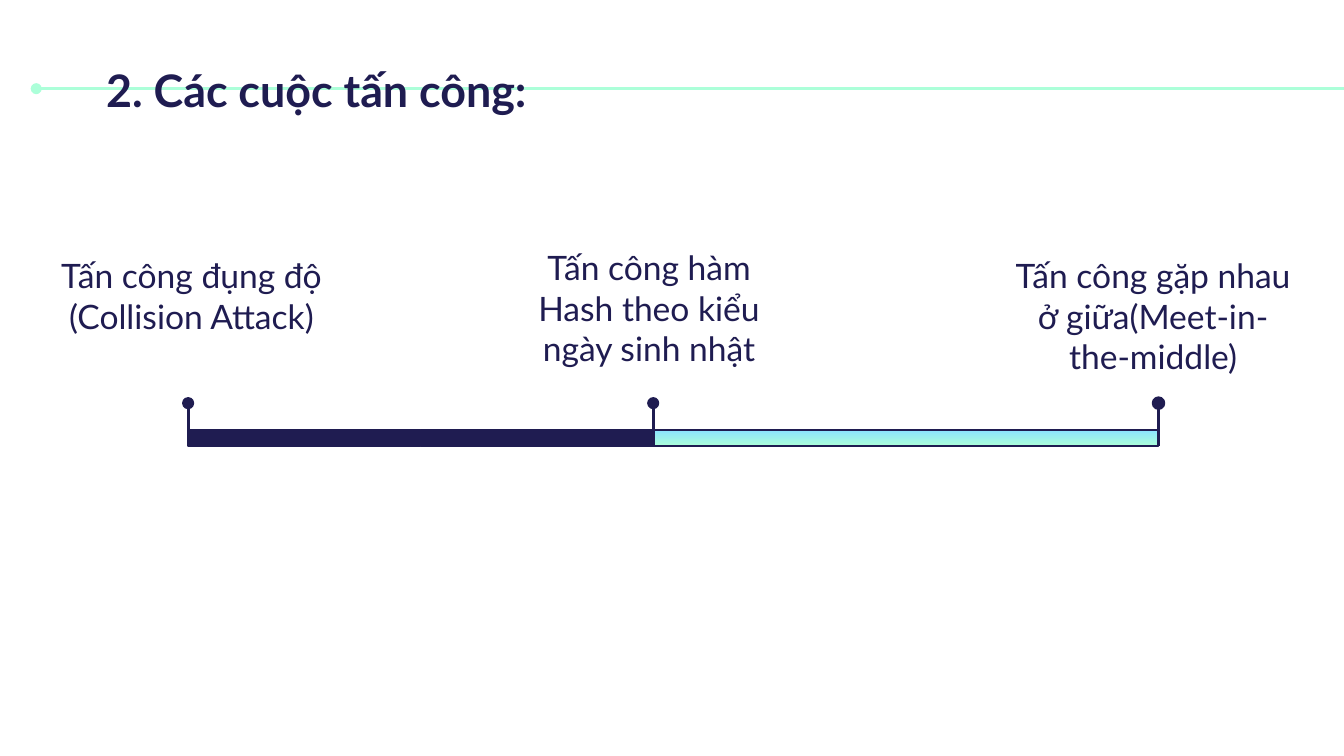
from dataclasses import dataclass

from lxml import etree
from pptx import Presentation
from pptx import util as u
from pptx.dml.color import RGBColor
from pptx.enum import shapes, text
from pptx.oxml import ns


@dataclass(frozen=True)
class Theme:
    """Colours, font, type sizes and line widths of the slide."""
    navy: RGBColor = RGBColor.from_string("1F1C51")
    mint: RGBColor = RGBColor.from_string("ACFFD9")
    sky: RGBColor = RGBColor.from_string("8BE3FF")
    font: str = "Lato"
    title_size: int = 24
    label_size: int = 18
    thin: float = 0.75
    thick: float = 1.5


THEME = Theme()
ATTACKS = [
    (1.4, THEME.thin, (0.35, 1.8, 2.15, 0.55),
     "Tấn công đụng độ (Collision Attack)"),
    (4.86, THEME.thin, (3.71, 1.74, 2.24, 1.05),
     "Tấn công hàm Hash theo kiểu ngày sinh nhật"),
    (8.62, THEME.thick, (7.42, 1.8, 2.32, 0.84),
     "Tấn công gặp nhau ở giữa(Meet-in-the-middle)"),
]


def write_text(shape, content, size, bold, alignment):
    """Fill a text shape with one paragraph in the theme font."""
    frame = shape.text_frame
    frame.text = content
    frame.word_wrap = True
    frame.auto_size = text.MSO_AUTO_SIZE.NONE
    frame.vertical_anchor = text.MSO_ANCHOR.TOP
    frame.margin_left = frame.margin_right = u.Inches(0.1)
    frame.margin_top = frame.margin_bottom = u.Inches(0.1)
    paragraph = frame.paragraphs[0]
    paragraph.alignment = alignment
    paragraph.font.name = THEME.font
    paragraph.font.size = u.Pt(size)
    paragraph.font.bold = bold
    paragraph.font.color.rgb = THEME.navy


def add_line(slide, start, end, color):
    """Draw a straight line without shadow and return it."""
    line = slide.shapes.add_connector(
        shapes.MSO_CONNECTOR.STRAIGHT, *map(u.Inches, start + end))
    line.line.color.rgb = color
    line.line.width = u.Pt(THEME.thick)
    etree.SubElement(line._element.spPr, ns.qn("a:effectLst"))
    return line


def add_solid(slide, kind, box, outline=THEME.thin):
    """Add a navy preset shape with a navy outline."""
    shape = slide.shapes.add_shape(kind, *map(u.Inches, box))
    shape.shadow.inherit = False
    shape.fill.solid()
    shape.fill.fore_color.rgb = THEME.navy
    shape.line.color.rgb = THEME.navy
    shape.line.width = u.Pt(outline)
    return shape


def add_heading(slide, box, content):
    """Place the title over the mint rule that crosses the slide."""
    rule_y = box[1] + 0.29
    rule = add_line(slide, (0.27, rule_y), (10, rule_y), THEME.mint)
    etree.SubElement(rule.line._get_or_add_ln(), ns.qn("a:headEnd"), type="oval")
    title = slide.shapes.title
    slide.shapes._spTree.append(title._element)
    title.left, title.top, title.width, title.height = map(u.Inches, box)
    write_text(title, content, THEME.title_size, True, text.PP_ALIGN.LEFT)


def add_marker(slide, x, top, outline):
    """Draw a pin whose round head is centred on the given point."""
    radius = 0.04
    add_line(slide, (x, top), (x, top + 0.32), THEME.navy)
    add_solid(slide, shapes.MSO_SHAPE.OVAL,
              (x - radius, top - radius, 2 * radius, 2 * radius), outline)


def add_timeline(slide, top, attacks):
    """Draw the bar between the attacks with a pin and a label for each."""
    first, middle, last = (attack[0] for attack in attacks)
    bar_top, bar_height = top + 0.2, 0.12
    rectangle = shapes.MSO_SHAPE.RECTANGLE
    half = (middle - first) / 2
    for left in (first, first + half):
        add_solid(slide, rectangle, (left, bar_top, half, bar_height))
    bright = add_solid(slide, rectangle,
                       (middle, bar_top, last - middle, bar_height))
    bright.fill.gradient()
    bright.fill.gradient_angle = 270
    for stop, color in zip(bright.fill.gradient_stops, (THEME.sky, THEME.mint)):
        stop.color.rgb = color
    for x, outline, box, label in attacks:
        add_marker(slide, x, top, outline)
        caption = slide.shapes.add_textbox(*map(u.Inches, box))
        write_text(caption, label, THEME.label_size, False, text.PP_ALIGN.CENTER)


def main():
    """Build and save the presentation."""
    presentation = Presentation()
    presentation.slide_width = u.Inches(10)
    presentation.slide_height = u.Inches(10 * 9 / 16)
    slide = presentation.slides.add_slide(presentation.slide_layouts[5])
    add_heading(slide, (0.69, 0.37, 6.65, 0.59), "2. Các cuộc tấn công:")
    add_timeline(slide, 3, ATTACKS)
    presentation.save("out.pptx")


if __name__ == "__main__":
    main()
